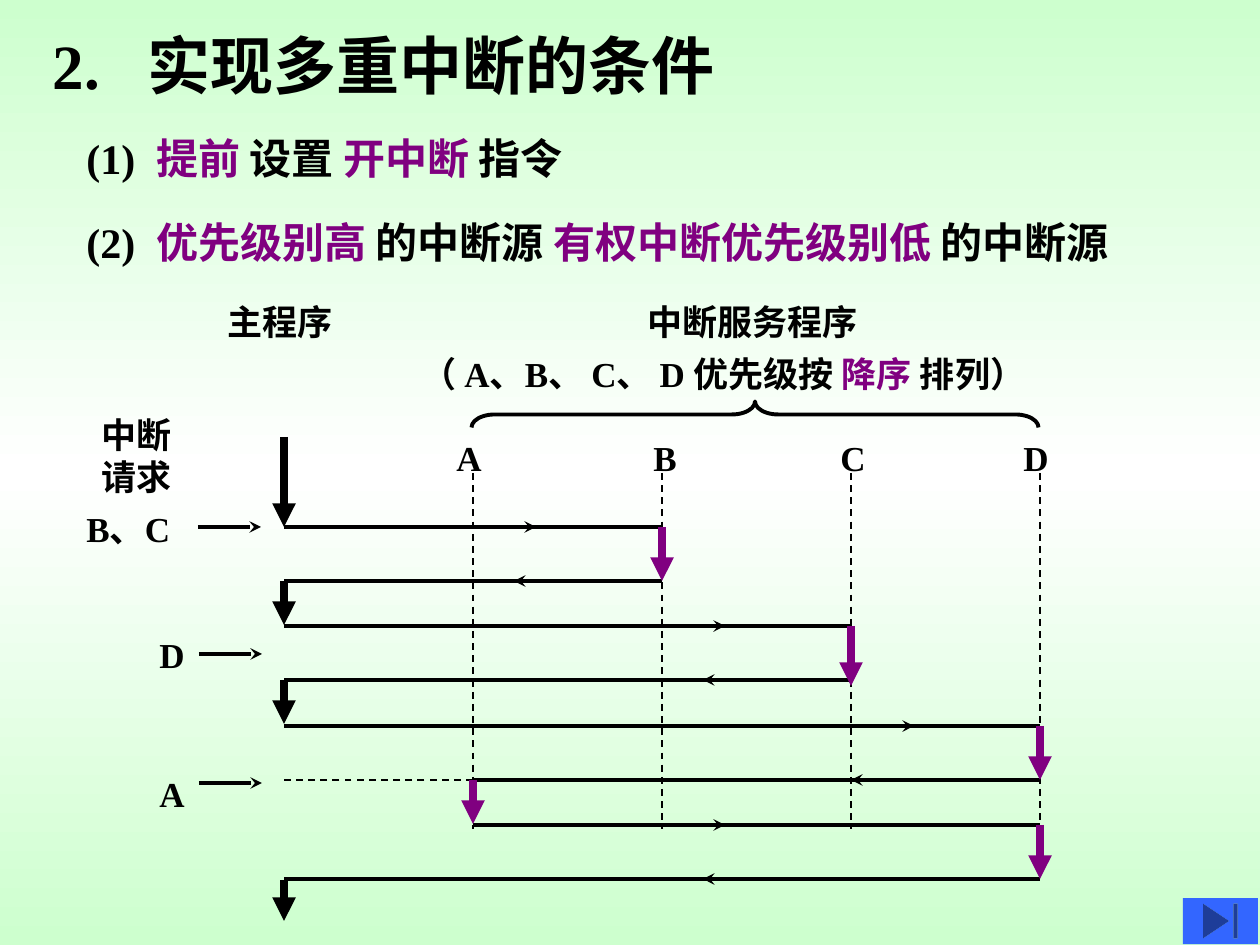
"""Build the slide on the conditions for nested interrupts."""
from copy import deepcopy
from dataclasses import dataclass

from lxml import etree
from pptx import Presentation
from pptx import util as u
from pptx.dml.color import RGBColor
from pptx.enum import dml, shapes, text
from pptx.oxml.ns import qn

PX = 914400 / 126


@dataclass(frozen=True)
class Theme:
    font: str = "Times New Roman"
    ink: str = "000000"
    accent: str = "800080"
    button: str = "3366FF"
    backdrop: tuple = ("CDFFCE", "FFFFFF", "CDFFCE")
    title: int = 36
    point: int = 24
    label: int = 20
    dashed: float = 1
    line: float = 2.25
    stem: float = 4.5


THEME = Theme()
INK, ACCENT = THEME.ink, THEME.accent

TITLE = ((53, 35, 743, 59), [("2.\t实现多重中断的条件", INK)], 95)
POINTS = [
    ((74, 126, 566, 63), [("(1)\t", INK), ("提前 ", ACCENT), ("设置 ", INK),
                          ("开中断 ", ACCENT), ("指令", INK)], 70),
    ((74, 210, 1123, 63), [("(2)\t", INK), ("优先级别高 ", ACCENT), ("的中断源 ", INK),
                           ("有权中断优先级别低 ", ACCENT), ("的中断源", INK)], 70),
]
LABELS = [
    ((215, 294, 130, 55), "主程序"),
    ((635, 294, 236, 55), "中断服务程序"),
    ((89, 407, 95, 97), "中断\n请求"),
    ((74, 501, 126, 55), "B、C"),
    ((147, 627, 50, 55), "D"),
    ((147, 766, 50, 55), "A"),
    ((444, 430, 50, 55), "A"),
    ((641, 430, 48, 55), "B"),
    ((828, 430, 50, 55), "C"),
    ((1011, 430, 50, 55), "D"),
]
PRIORITY = ((409, 346, 698, 55), [("（ A、B、 C、 D 优先级按 ", INK), ("降序 ", ACCENT), ("排列）", INK)])

LANES = {name: 284 + 189 * index for index, name in enumerate(["main", "A", "B", "C", "D"])}
LANE_TOP, LANE_BOTTOM = 473, 829
ARROW = 63
TRANSFERS = [
    ("main", "B", 527, 473), ("B", "main", 581, 577),
    ("main", "C", 626, 662), ("C", "main", 680, 766),
    ("main", "D", 726, 851), ("D", "A", 780, 914),
    ("A", "D", 825, 662), ("D", "main", 879, 766),
]
STEMS = [
    ("main", 437, 527), ("main", 581, 625), ("main", 680, 724), ("main", 880, 921),
    ("B", 527, 581), ("C", 626, 686), ("D", 726, 780), ("A", 780, 824), ("D", 825, 879),
]
REQUESTS = [(198, 527), (199, 654), (199, 783)]
BRACE = (742, 131, 26, 567)
BUTTON = (1183, 898, 75, 46)


def px(*values):
    return [u.Emu(round(value * PX)) for value in values]


def color(value):
    return RGBColor.from_string(value)


def paint_background(slide):
    fill = slide.background.fill
    fill.gradient()
    fill.gradient_angle = 90
    stops = slide.element.find(".//" + qn("a:gsLst"))
    stops.append(deepcopy(stops[0]))
    for index, (stop, value) in enumerate(zip(fill.gradient_stops, THEME.backdrop)):
        stop.color.rgb = color(value)
        stop.position = index / 2


def add_text(slide, box, paragraphs, size, tab=None, inset=True):
    shape = slide.shapes.add_textbox(*px(*box))
    frame = shape.text_frame
    frame.word_wrap = tab is not None
    if not inset:
        frame.margin_left = frame.margin_right = frame.margin_top = frame.margin_bottom = 0
        frame.vertical_anchor = text.MSO_ANCHOR.MIDDLE
    for index, runs in enumerate(paragraphs):
        paragraph = frame.add_paragraph() if index else frame.paragraphs[0]
        if tab:
            properties = paragraph._p.get_or_add_pPr()
            tabs = etree.SubElement(properties, qn("a:tabLst"))
            etree.SubElement(tabs, qn("a:tab"), pos=str(px(tab)[0]), algn="l")
        font = paragraph.font
        font.name, font.size, font.bold = THEME.font, u.Pt(size), True
        for words, value in runs:
            run = paragraph.add_run()
            run.text = words
            run.font.color.rgb = color(value)


def add_line(slide, start, end, width, value=INK, head=None, dashed=False):
    connector = slide.shapes.add_connector(shapes.MSO_CONNECTOR.STRAIGHT, *px(*start, *end))
    line = connector.line
    line.width = u.Pt(width)
    line.color.rgb = color(value)
    if dashed:
        line.dash_style = dml.MSO_LINE.DASH
    if head:
        etree.SubElement(line._get_or_add_ln(), qn("a:tailEnd"), type=head)
    etree.SubElement(connector._element.spPr, qn("a:effectLst"))


def add_transfer(slide, source, target, y, arrow):
    start, end = LANES[source], LANES[target]
    step = ARROW if end > start else -ARROW
    add_line(slide, (start, y), (end, y), THEME.line)
    add_line(slide, (arrow, y), (arrow + step, y), THEME.line, head="stealth")


def add_brace(slide):
    shape = slide.shapes.add_shape(shapes.MSO_SHAPE.LEFT_BRACE, *px(*BRACE))
    shape.rotation = 90
    shape.adjustments[0] = 0.89
    shape.shadow.inherit = False
    shape.fill.background()
    shape.line.width = u.Pt(THEME.line)
    shape.line.color.rgb = color(INK)


def add_button(slide):
    shape = slide.shapes.add_shape(shapes.MSO_SHAPE.ACTION_BUTTON_END, *px(*BUTTON))
    shape.shadow.inherit = False
    shape.fill.solid()
    shape.fill.fore_color.rgb = color(THEME.button)
    shape.line.fill.background()


def main():
    presentation = Presentation()
    presentation.slide_width, presentation.slide_height = px(1260, 945)
    slide = presentation.slides.add_slide(presentation.slide_layouts[6])
    paint_background(slide)

    box, runs, tab = TITLE
    add_text(slide, box, [runs], THEME.title, tab, inset=False)
    for box, runs, tab in POINTS:
        add_text(slide, box, [runs], THEME.point, tab)
    for box, words in LABELS:
        add_text(slide, box, [[(line, INK)] for line in words.split("\n")], THEME.label)
    add_text(slide, PRIORITY[0], [PRIORITY[1]], THEME.label)

    for name, x in LANES.items():
        if name != "main":
            add_line(slide, (x, LANE_TOP), (x, LANE_BOTTOM), THEME.dashed, dashed=True)
    add_line(slide, (LANES["A"], 780), (LANES["main"], 780), THEME.dashed, dashed=True)
    for transfer in TRANSFERS:
        add_transfer(slide, *transfer)
    for x, y in REQUESTS:
        add_line(slide, (x, y), (x + ARROW, y), THEME.line, head="stealth")
    for name, top, bottom in STEMS:
        value = INK if name == "main" else ACCENT
        add_line(slide, (LANES[name], top), (LANES[name], bottom), THEME.stem, value, "triangle")
    add_brace(slide)
    add_button(slide)
    presentation.save("out.pptx")


if __name__ == "__main__":
    main()
